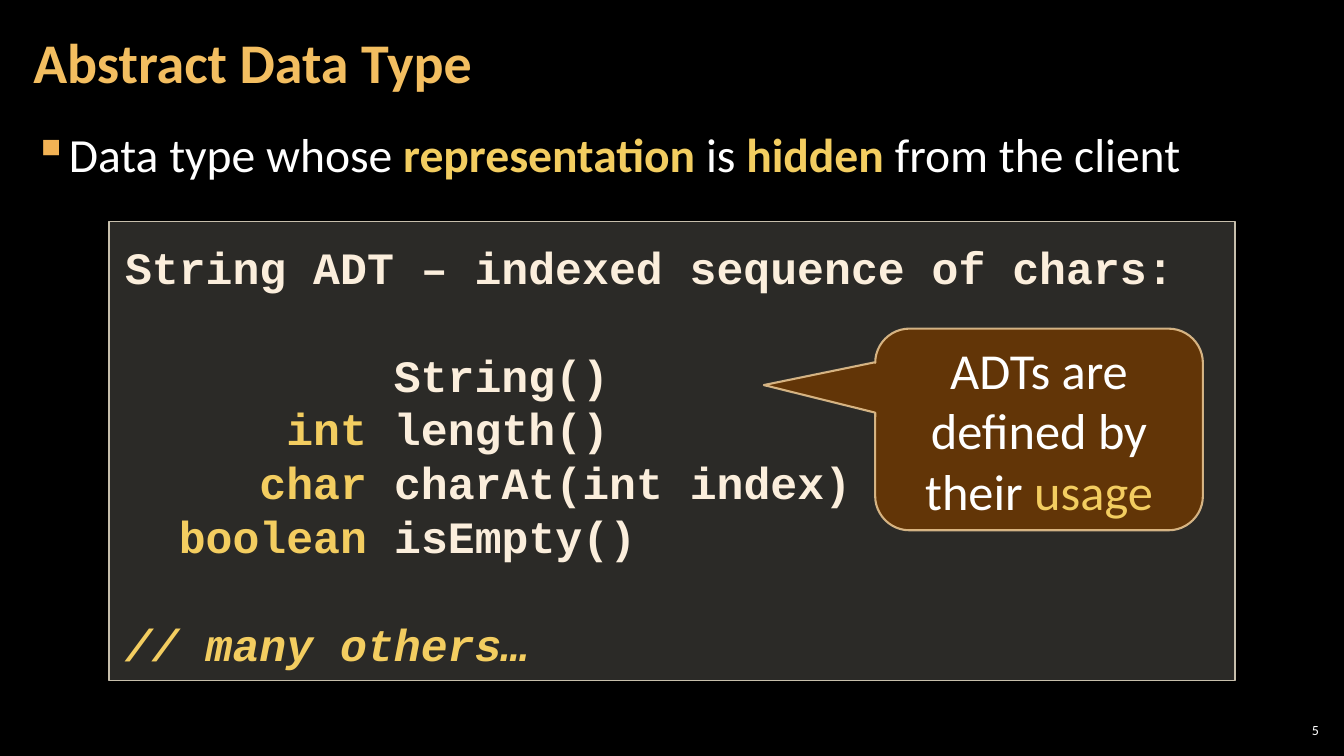
"""Build the Abstract Data Type slide with its code panel and callout."""
from dataclasses import dataclass
from typing import Any, NamedTuple, Optional

from lxml.etree import SubElement
from pptx import Presentation
from pptx.dml.color import RGBColor
from pptx.enum.shapes import MSO_SHAPE as Preset
from pptx.enum.text import MSO_ANCHOR as Anchor, PP_ALIGN as Align
from pptx.oxml.ns import qn
from pptx.util import Inches, Pt


@dataclass(frozen=True)
class Theme:
    background: str = "000000"
    white: str = "FFFFFF"
    title: str = "F3BE60"
    accent: str = "F3CD60"
    bullet: str = "F2B254"
    code: str = "FBEEDC"
    panel: str = "D9D5C7"
    panel_line: str = "C7BFAC"
    callout: str = "663606"
    callout_line: str = "F8D49E"
    sans: str = "Calibri"
    mono: str = "Courier New"
    title_size: int = 40
    body_size: int = 34
    code_size: int = 32
    callout_size: int = 36
    number_size: int = 10


class Area(NamedTuple):
    """Left, top, width and height in percent of the slide."""
    left: float
    top: float
    width: float
    height: float


class Span(NamedTuple):
    text: str
    color: str
    bold: bool = False
    italic: bool = False


@dataclass(frozen=True)
class Para:
    spans: list[Span]
    form: dict[str, Any]
    indent: float = 0
    bullet: Optional[str] = None


@dataclass(frozen=True)
class Block:
    area: Area
    font: str
    size: int
    paras: list[Para]
    insets: tuple[float, float, float, float] = (0.12, 0.04, 0.12, 0.04)
    anchor: Anchor = Anchor.TOP


@dataclass(frozen=True)
class Panel:
    block: Block
    preset: Preset
    fill: str
    fill_alpha: int
    line: str
    line_width: float
    line_alpha: int = 100
    adjustments: tuple[float, ...] = ()


THEME = Theme()
SLIDE_SIZE = (Inches(13.33), Inches(7.5))
CODE_PITCH = Pt(1.2 * THEME.code_size)
CODE_ADVANCE = 0.6 * THEME.code_size / 72


def apply(target: Any, values: dict[str, Any]) -> None:
    """Set each named attribute on the target."""
    for name, value in values.items():
        setattr(target, name, value)


def place(area: Area) -> list[int]:
    """Turn percentages into slide lengths."""
    return [round(share * SLIDE_SIZE[index % 2] / 100) for index, share in enumerate(area)]


def paint(fill: Any, color: str, alpha: int = 100) -> None:
    """Give a fill a solid colour and an opacity in percent."""
    fill.solid()
    fill.fore_color.rgb = RGBColor.from_string(color)
    if alpha < 100:
        solid = fill._xPr.find(qn("a:solidFill"))
        SubElement(solid[0], qn("a:alpha"), val=str(alpha * 1000))


def write(box: Any, block: Block) -> None:
    """Fill a shape with the paragraphs of a block."""
    frame = box.text_frame
    margins = ("margin_left", "margin_top", "margin_right", "margin_bottom")
    apply(frame, {"word_wrap": True, "vertical_anchor": block.anchor})
    apply(frame, dict(zip(margins, map(Inches, block.insets))))
    for index, para in enumerate(block.paras):
        line = frame.add_paragraph() if index else frame.paragraphs[0]
        apply(line, {"alignment": Align.LEFT} | para.form)
        props = line._p.get_or_add_pPr()
        margin = Inches(para.indent)
        props.set("marL", str(margin))
        props.set("indent", str(-margin if para.bullet else 0))
        if para.bullet:
            tint = SubElement(props, qn("a:buClr"))
            SubElement(tint, qn("a:srgbClr"), val=THEME.bullet)
            SubElement(props, qn("a:buChar"), char=para.bullet)
        for span in para.spans:
            run = line.add_run()
            run.text = span.text
            apply(run.font, {"name": block.font, "size": Pt(block.size),
                             "bold": span.bold, "italic": span.italic})
            run.font.color.rgb = RGBColor.from_string(span.color)


def add_text(page: Any, block: Block) -> None:
    """Add a plain text box."""
    write(page.shapes.add_textbox(*place(block.area)), block)


def add_panel(page: Any, panel: Panel) -> None:
    """Add a filled and outlined shape with text."""
    box = page.shapes.add_shape(panel.preset, *place(panel.block.area))
    box.shadow.inherit = False
    for index, value in enumerate(panel.adjustments):
        box.adjustments[index] = value
    paint(box.fill, panel.fill, panel.fill_alpha)
    box.line.width = Pt(panel.line_width)
    paint(box.line.fill, panel.line, panel.line_alpha)
    write(box, panel.block)


def code_line(spans: list[Span], column: int = 0, skipped: int = 0) -> Para:
    """Place a code line at a character column, after some skipped lines."""
    return Para(spans, {"line_spacing": CODE_PITCH, "space_before": skipped * CODE_PITCH},
                column * CODE_ADVANCE)


def method(kind: str, call: str) -> Para:
    """Lay out a method whose return type ends at character column nine."""
    return code_line([Span(kind, THEME.accent, True), Span(f" {call}", THEME.code, True)],
                     9 - len(kind))


TEXTS = [
    Block(Area(94.9, 95.2, 3.53, 2.8), THEME.sans, THEME.number_size,
          [Para([Span("5", THEME.white)], {"alignment": Align.RIGHT})],
          (0.04,) * 4, Anchor.MIDDLE),
    Block(Area(1.58, 15.6, 96.85, 81.2), THEME.sans, THEME.body_size,
          [Para([Span("Data type whose ", THEME.white),
                 Span("representation", THEME.accent, True),
                 Span(" is ", THEME.white),
                 Span("hidden", THEME.accent, True),
                 Span(" from the client", THEME.white)],
                {"line_spacing": 1.05, "space_before": Pt(6), "space_after": Pt(6)},
                0.33, "▪")]),
    Block(Area(1.58, 0.53, 78.54, 16.13), THEME.sans, THEME.title_size,
          [Para([Span("Abstract Data Type", THEME.title, True)], {"line_spacing": 0.9})],
          anchor=Anchor.MIDDLE),
]

PANELS = [
    Panel(Block(Area(8.1, 29.33, 83.8, 60.67), THEME.mono, THEME.code_size,
                [code_line([Span("String ADT – indexed sequence of chars:", THEME.code, True)]),
                 code_line([Span("String()", THEME.code, True)], 10, 1),
                 method("int", "length()"),
                 method("char", "charAt(int index)"),
                 method("boolean", "isEmpty()"),
                 code_line([Span("// many others…", THEME.accent, True, True)], 0, 1)],
                (0.16, 0.18, 0.16, 0.06)),
          Preset.RECTANGLE, THEME.panel, 20, THEME.panel_line, 1),
    Panel(Block(Area(65.12, 43.47, 24.38, 26.67), THEME.sans, THEME.callout_size,
                [Para([Span("ADTs are defined by their ", THEME.white),
                       Span("usage", THEME.accent)], {"alignment": Align.CENTER})],
                (0.1, 0.05, 0.1, 0.05), Anchor.MIDDLE),
          Preset.ROUNDED_RECTANGULAR_CALLOUT, THEME.callout, 95, THEME.callout_line, 1.5, 80,
          (-0.84, -0.22, 0.17)),
]


def main() -> None:
    """Draw the slide and save the deck."""
    deck = Presentation()
    apply(deck, dict(zip(("slide_width", "slide_height"), SLIDE_SIZE)))
    page = deck.slides.add_slide(deck.slide_layouts[6])
    paint(page.background.fill, THEME.background)
    for block in TEXTS:
        add_text(page, block)
    for panel in PANELS:
        add_panel(page, panel)
    deck.save("out.pptx")


if __name__ == "__main__":
    main()
